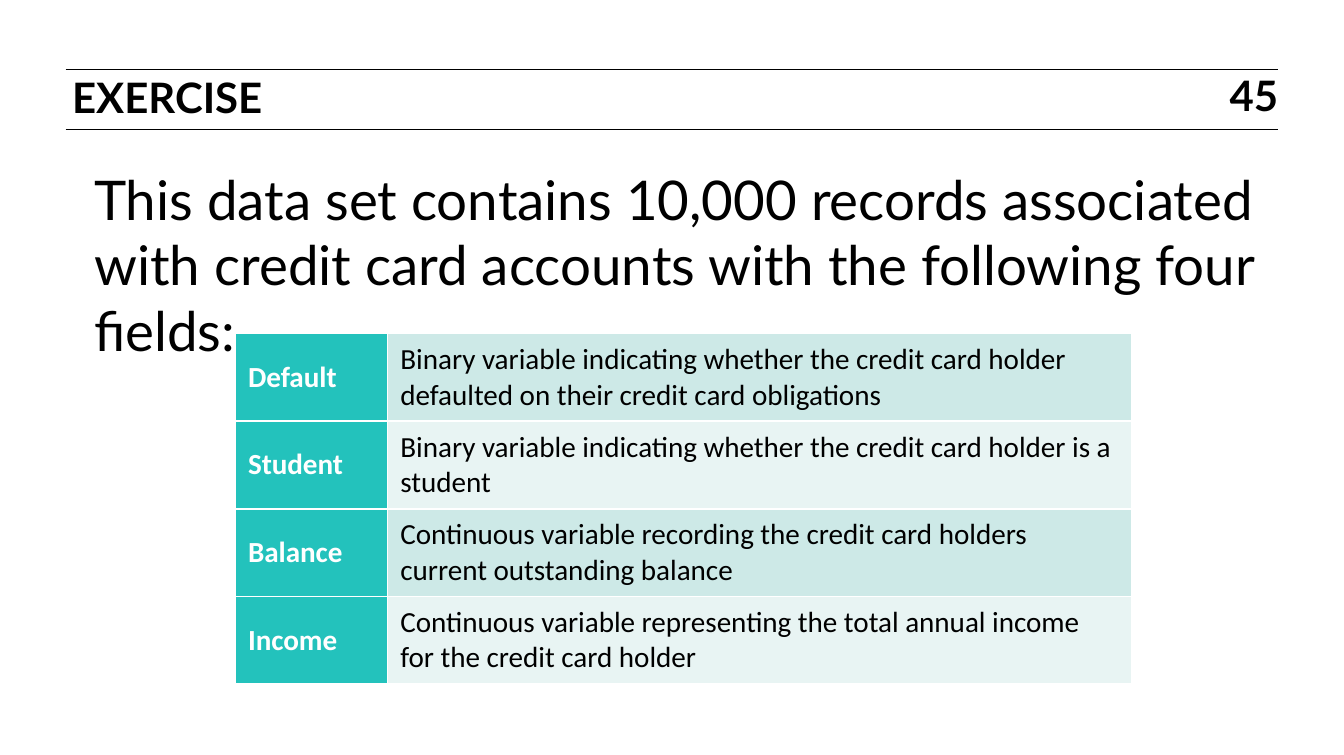
from dataclasses import dataclass

from lxml.etree import SubElement
from pptx import Presentation
from pptx.dml.color import RGBColor as Rgb
from pptx.enum.shapes import MSO_CONNECTOR as Link
from pptx.enum.text import MSO_ANCHOR as Anchor, MSO_AUTO_SIZE as Fit, PP_ALIGN as Align
from pptx.oxml.ns import qn
from pptx.util import Inches, Pt

WIDE, HIGH = Inches(10.24), Inches(5.75)


@dataclass(frozen=True)
class Theme:
    face: str = "Lato"
    grid_face: str = "Calibri"
    head: int = 23
    lead: int = 30
    cell: int = 16
    rule: float = 0.5
    ink: str = "000000"
    paper: str = "FFFFFF"
    teal: str = "23C2BC"
    bands: tuple[str, str] = ("CDE9E7", "E8F4F3")


@dataclass(frozen=True)
class Box:
    """A place on the slide, in percent of its width and height."""
    x: float
    y: float
    w: float
    h: float

    def spot(self) -> tuple[int, int, int, int]:
        return across(self.x), down(self.y), across(self.w), down(self.h)


@dataclass(frozen=True)
class Field:
    name: str
    text: str


THEME = Theme()
LEFT, RIGHT = 4.88, 95.12
RULES = (9.22, 17.22)
HEAD = Box(4.39, 9.39, 68.36, 5.74)
PAGE = Box(90.23, 10.09, 4.89, 5.91)
LEAD = Box(6.05, 21.04, 89.55, 19.3)
GRID = Box(17.48, 44.17, 66.7, 46.43)
NAME_SHARE = 0.17
INTRO = ("This data set contains 10,000 records associated with credit card "
         "accounts with the following four fields:")
FIELDS = (
    Field("Default", "Binary variable indicating whether the credit card holder "
                     "defaulted on their credit card obligations"),
    Field("Student", "Binary variable indicating whether the credit card holder is a student"),
    Field("Balance", "Continuous variable recording the credit card holders "
                     "current outstanding balance"),
    Field("Income", "Continuous variable representing the total annual income "
                    "for the credit card holder"),
)


def across(share: float) -> int:
    return round(WIDE * share / 100)


def down(share: float) -> int:
    return round(HIGH * share / 100)


def write(frame, text: str, size: int, color: str = THEME.ink, bold: bool = False,
          face: str = THEME.face, align: Align = Align.LEFT,
          pitch: float | None = None) -> None:
    frame.text = text
    par = frame.paragraphs[0]
    par.alignment = align
    if pitch:
        par.line_spacing = Pt(pitch)
    font = par.font
    font.name, font.size, font.bold = face, Pt(size), bold
    font.color.rgb = Rgb.from_string(color)


def add_rule(slide, y: float) -> None:
    rule = slide.shapes.add_connector(
        Link.STRAIGHT, across(LEFT), down(y), across(RIGHT), down(y))
    rule.line.width = Pt(THEME.rule)
    rule.line.color.rgb = Rgb.from_string(THEME.ink)
    SubElement(rule._element.spPr, qn("a:effectLst"))


def add_head(slide, text: str) -> None:
    title = slide.shapes.title
    title.left, title.top, title.width, title.height = HEAD.spot()
    frame = title.text_frame
    frame.auto_size = Fit.NONE
    frame.vertical_anchor = Anchor.TOP
    write(frame, text, THEME.head, bold=True, pitch=24.5)


def add_text(slide, box: Box):
    frame = slide.shapes.add_textbox(*box.spot()).text_frame
    frame.word_wrap = True
    return frame


def add_page(slide, text: str) -> None:
    frame = add_text(slide, PAGE)
    frame.margin_right = 0
    frame.vertical_anchor = Anchor.MIDDLE
    write(frame, text, THEME.head, bold=True, align=Align.RIGHT, pitch=23)


def edge(cell) -> None:
    """Give all four sides of a cell a thin line in the paper colour."""
    props = cell._tc.get_or_add_tcPr()
    for side in ("lnL", "lnR", "lnT", "lnB"):
        line = SubElement(props, qn(f"a:{side}"), w=str(Pt(1)))
        fill = SubElement(line, qn("a:solidFill"))
        SubElement(fill, qn("a:srgbClr"), val=THEME.paper)


def fill_cell(cell, text: str, back: str, color: str, bold: bool) -> None:
    edge(cell)
    cell.fill.solid()
    cell.fill.fore_color.rgb = Rgb.from_string(back)
    cell.vertical_anchor = Anchor.MIDDLE
    write(cell.text_frame, text, THEME.cell, color, bold, THEME.grid_face)


def add_grid(slide, fields: tuple[Field, ...]) -> None:
    table = slide.shapes.add_table(len(fields), 2, *GRID.spot()).table
    table.first_row = table.horz_banding = False
    wide = across(GRID.w)
    table.columns[0].width = round(wide * NAME_SHARE)
    table.columns[1].width = wide - table.columns[0].width
    for row, field in enumerate(fields):
        band = THEME.bands[row % 2]
        fill_cell(table.cell(row, 0), field.name, THEME.teal, THEME.paper, True)
        fill_cell(table.cell(row, 1), field.text, band, THEME.ink, False)


def main() -> None:
    deck = Presentation()
    deck.slide_width, deck.slide_height = WIDE, HIGH
    slide = deck.slides.add_slide(deck.slide_layouts.get_by_name("Title Only"))
    for y in RULES:
        add_rule(slide, y)
    add_head(slide, "EXERCISE")
    add_page(slide, "45")
    write(add_text(slide, LEAD), INTRO, THEME.lead)
    add_grid(slide, FIELDS)
    deck.save("out.pptx")


if __name__ == "__main__":
    main()
